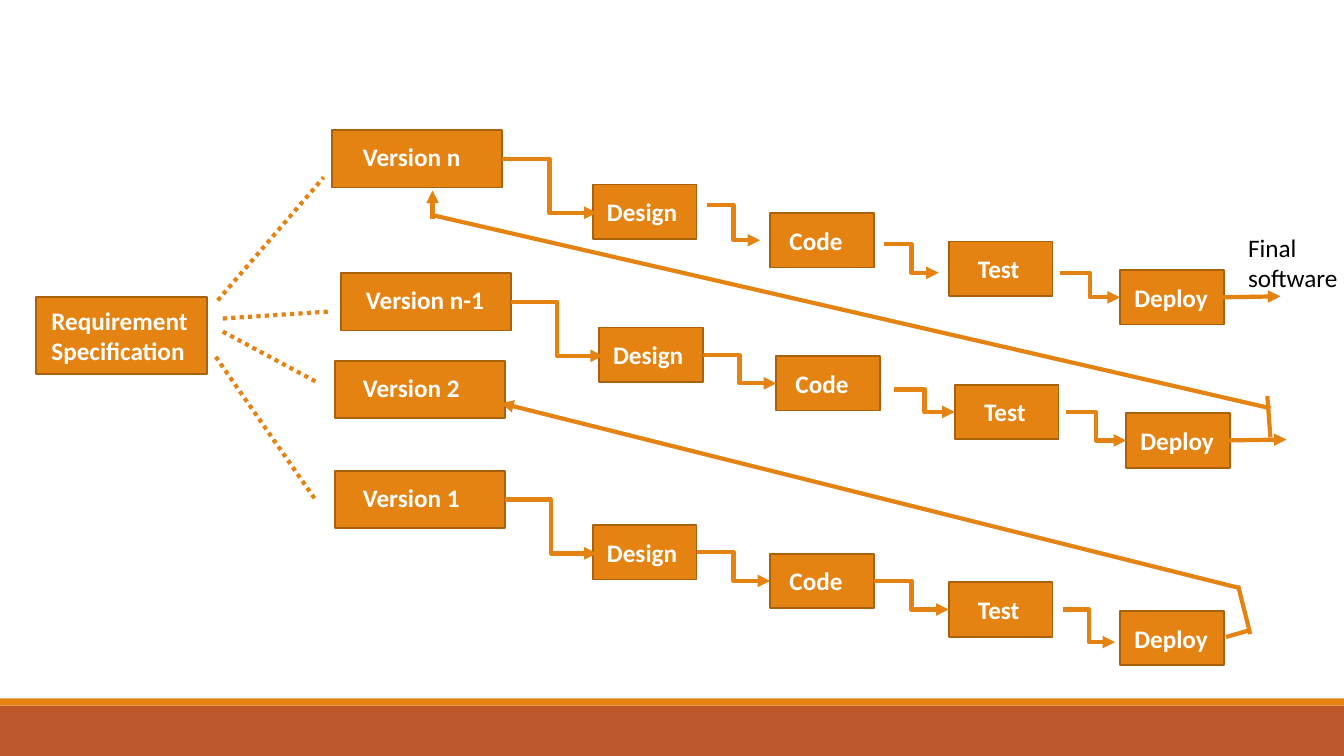
import pptx
import pptx.util
import pptx.dml.color
import pptx.enum.dml
import pptx.enum.shapes
import pptx.enum.text
import pptx.oxml
import pptx.oxml.ns

Inches = pptx.util.Inches
Pt = pptx.util.Pt
qn = pptx.oxml.ns.qn
STRAIGHT = pptx.enum.shapes.MSO_CONNECTOR.STRAIGHT
ELBOW = pptx.enum.shapes.MSO_CONNECTOR.ELBOW

COLORS = {
    "orange": "E48312",
    "outline": "A9610D",
    "rust": "BD582C",
    "white": "FFFFFF",
    "black": "000000",
}
VERSION_W, VERSION_H = 1.69, 0.57
STEP_W, STEP_H = 1.03, 0.54
STEP_DROP = 0.85 / 3
STEPS = [("Design", 0, 0.14), ("Code", 1.76, 0.19), ("Test", 3.53, 0.29), ("Deploy", 5.23, 0.14)]
FLUSH = (0, 0, 0, 0)


def rgb(name):
    return pptx.dml.color.RGBColor.from_string(COLORS[name])


def add_label(shape, text, color, bold, inset, lift=0):
    frame = shape.text_frame
    frame.word_wrap = True
    frame.vertical_anchor = pptx.enum.text.MSO_ANCHOR.MIDDLE
    frame.margin_left, frame.margin_right = Inches(inset), 0
    frame.margin_top, frame.margin_bottom = 0, Inches(lift)
    paragraph = frame.paragraphs[0]
    paragraph.text = text
    paragraph.alignment = pptx.enum.text.PP_ALIGN.LEFT
    paragraph.font.name = "Calibri"
    paragraph.font.size = Pt(18)
    paragraph.font.bold = bold
    paragraph.font.color.rgb = rgb(color)


def add_bar(slide, left, top, width, height, fill):
    bar = slide.shapes.add_shape(
        pptx.enum.shapes.MSO_SHAPE.RECTANGLE,
        Inches(left), Inches(top), Inches(width), Inches(height))
    bar.shadow.inherit = False
    bar.fill.solid()
    bar.fill.fore_color.rgb = rgb(fill)
    bar.line.fill.background()
    return bar


def add_stage(slide, left, top, width, height, text, inset, lift=0):
    stage = add_bar(slide, left, top, width, height, "orange")
    stage.line.color.rgb = rgb("outline")
    stage.line.width = Pt(1.25)
    add_label(stage, text, "white", True, inset, lift)


def add_link(slide, start, end, kind=STRAIGHT, arrow=True, dotted=False):
    link = slide.shapes.add_connector(kind, *[Inches(v) for v in (*start, *end)])
    link.line.color.rgb = rgb("orange")
    link.line.width = Pt(3)
    if dotted:
        link.line.dash_style = pptx.enum.dml.MSO_LINE.ROUND_DOT
    if arrow:
        tail = pptx.oxml.parse_xml(
            '<a:tailEnd xmlns:a="http://schemas.openxmlformats.org/drawingml/2006/main" type="triangle"/>')
        link.line._get_or_add_ln().append(tail)
    properties = link._element.spPr
    properties.append(properties.makeelement(qn("a:effectLst"), {}))


def add_version(slide, left, top, name, inset):
    add_stage(slide, left, top, VERSION_W, VERSION_H, name, inset, 0.05)


def add_cycle(slide, left, top, version, version_left, inset, nudges, delivers):
    version_top = top - 0.54
    add_version(slide, version_left, version_top, version, inset)
    places = []
    for index, (step, offset, step_inset) in enumerate(STEPS):
        x, y = left + offset, top + index * STEP_DROP
        add_stage(slide, x, y, STEP_W, STEP_H, step, step_inset)
        places.append((x, y + STEP_H / 2))
    add_link(slide, (version_left + VERSION_W, version_top + VERSION_H / 2),
             (left + 0.04, top + 0.28), ELBOW)
    for (x1, y1), (x2, y2), (dx1, dy1, dx2, dy2) in zip(places, places[1:], nudges):
        add_link(slide, (x1 + STEP_W + dx1, y1 + dy1), (x2 + dx2, y2 + dy2), ELBOW)
    if delivers:
        x, y = places[-1]
        add_link(slide, (x + STEP_W - 0.05, y), (x + STEP_W + 0.56, y - 0.01))


def add_requirement(slide, left, top):
    add_stage(slide, left, top, VERSION_W, 0.76, "Requirement Specification", 0.15)
    branches = [
        ((1.8, 0.03), (2.85, -1.19)),
        ((1.85, 0.21), (2.92, 0.14)),
        ((1.85, 0.34), (2.78, 0.84)),
        ((1.78, 0.59), (2.77, 2.01)),
    ]
    for (x1, y1), (x2, y2) in branches:
        add_link(slide, (left + x1, top + y1), (left + x2, top + y2), arrow=False, dotted=True)


def add_feedback(slide):
    add_link(slide, (12.16, 6.32), (12.4, 6.25), arrow=False)
    add_link(slide, (12.28, 5.81), (12.4, 6.29), arrow=False)
    add_link(slide, (12.28, 5.83), (4.97, 4))
    add_link(slide, (12.57, 3.93), (12.6, 4.34), arrow=False)
    add_link(slide, (4.27, 2.13), (12.6, 4.05), arrow=False)
    add_link(slide, (4.29, 2.17), (4.29, 1.89))


def add_result(slide, left, top):
    result = slide.shapes.add_textbox(Inches(left), Inches(top), Inches(1.05), Inches(0.71))
    add_label(result, "Final software", "black", False, 0.1)


def add_footer(slide, top):
    add_bar(slide, 0, top + 0.07, 13.33, 0.5, "rust")
    add_bar(slide, 0, top, 13.33, 0.07, "orange")


def main():
    deck = pptx.Presentation()
    deck.slide_width, deck.slide_height = Inches(13.33), Inches(7.5)
    slide = deck.slides.add_slide(deck.slide_layouts[6])
    add_footer(slide, 6.93)
    add_cycle(slide, 5.88, 1.83, "Version n", 3.29, 0.31,
              [(0.1, -0.07, -0.1, 0), (0.1, 0.04, -0.1, 0.04), (0.07, 0.04, 0, 0)], True)
    add_cycle(slide, 5.94, 3.25, "Version n-1", 3.38, 0.25,
              [FLUSH, (0.14, 0.06, 0, 0), (0.07, 0, 0, 0)], True)
    add_cycle(slide, 5.88, 5.21, "Version 1", 3.32, 0.28,
              [FLUSH, FLUSH, (0.1, 0, -0.05, 0.04)], False)
    add_version(slide, 3.32, 3.58, "Version 2", 0.28)
    add_feedback(slide)
    add_requirement(slide, 0.36, 2.95)
    add_result(slide, 12.28, 2.25)
    deck.save("out.pptx")


if __name__ == "__main__":
    main()
